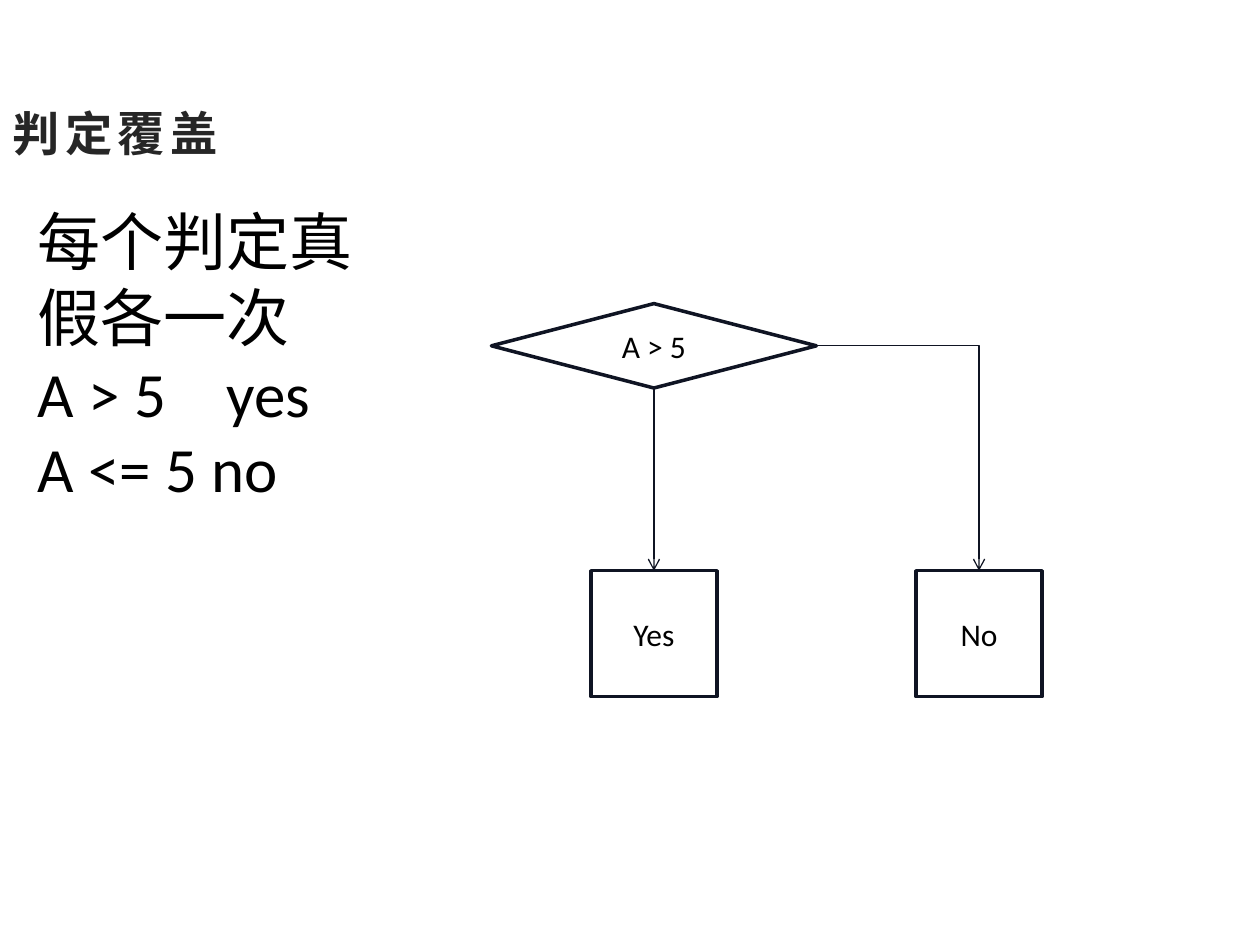
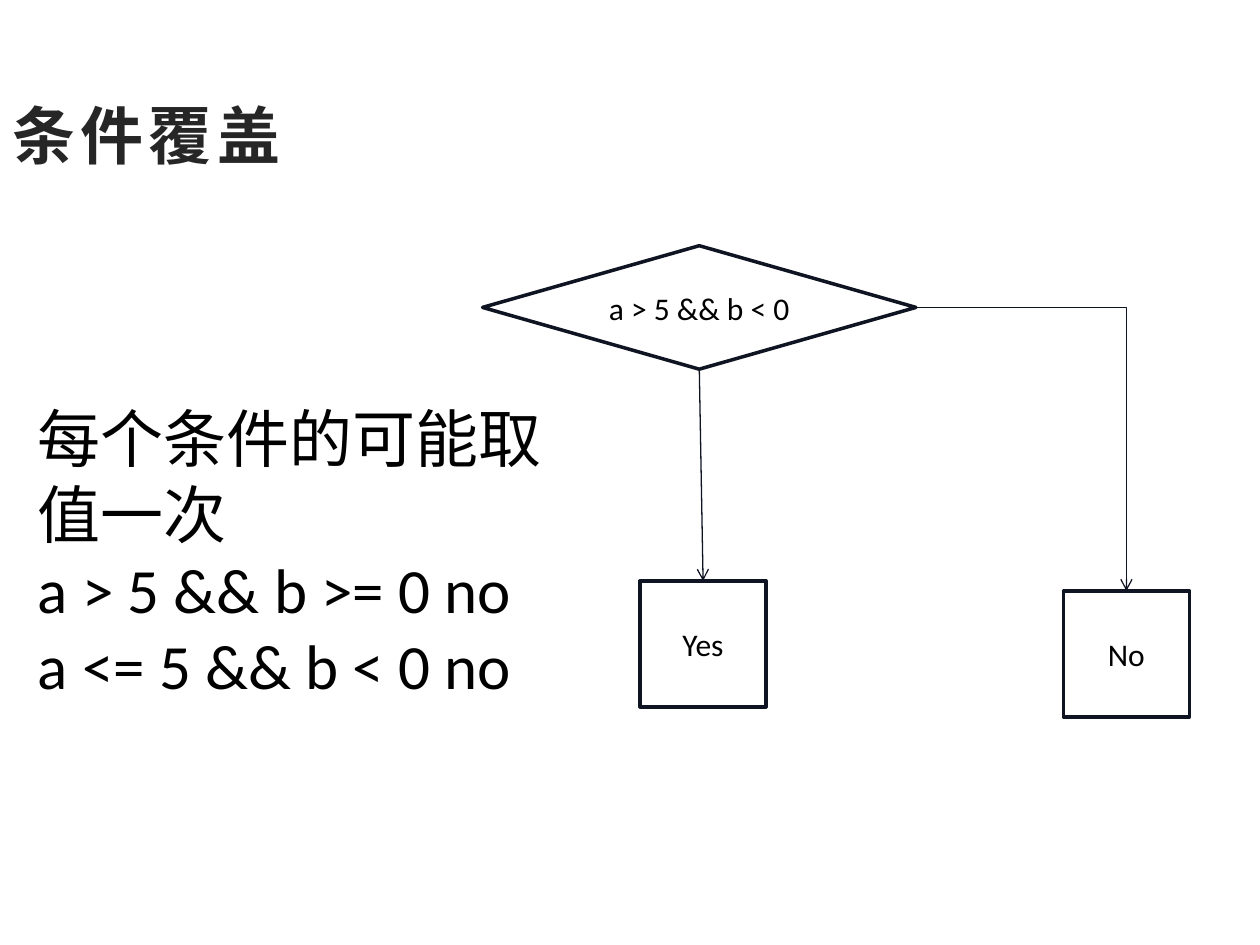
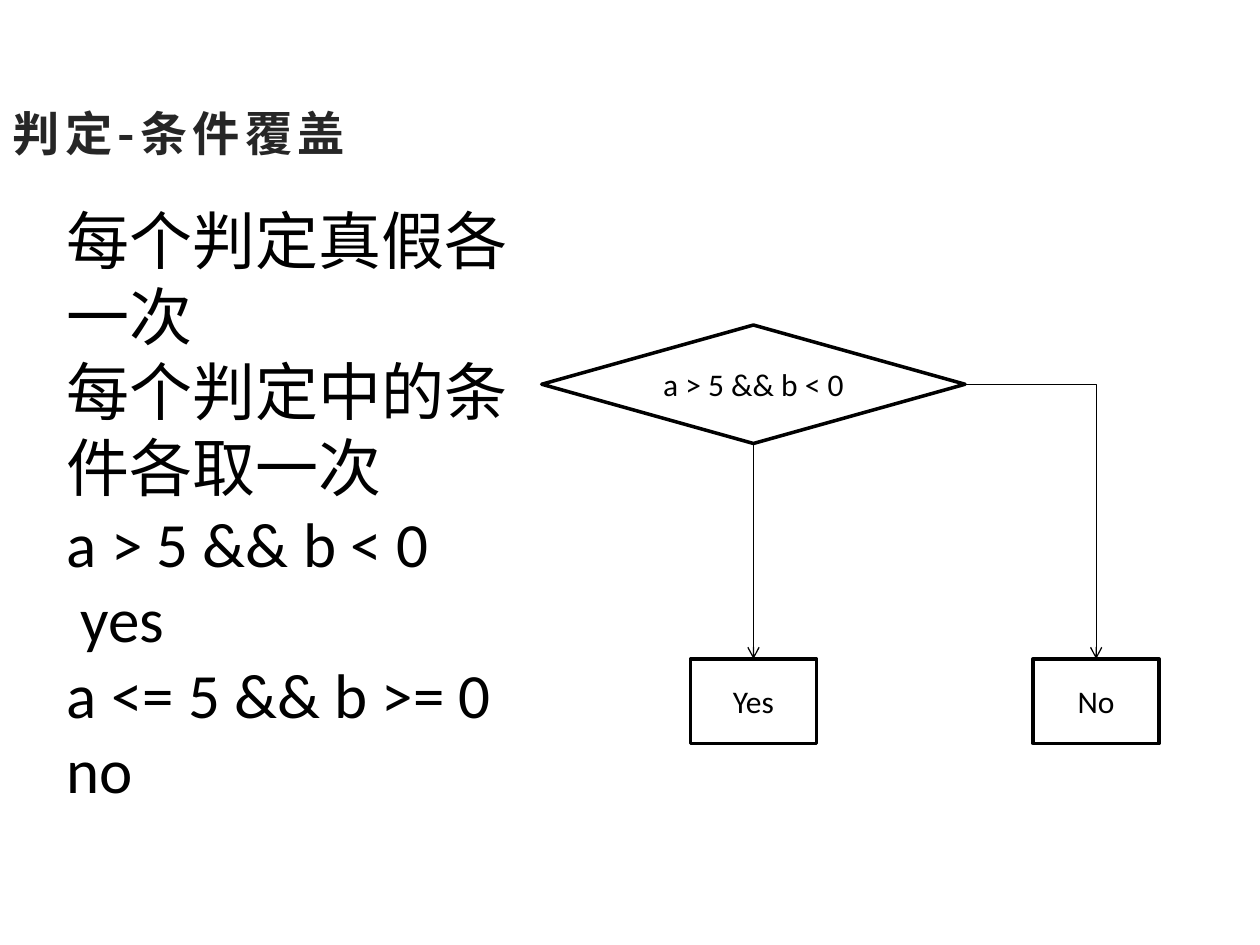
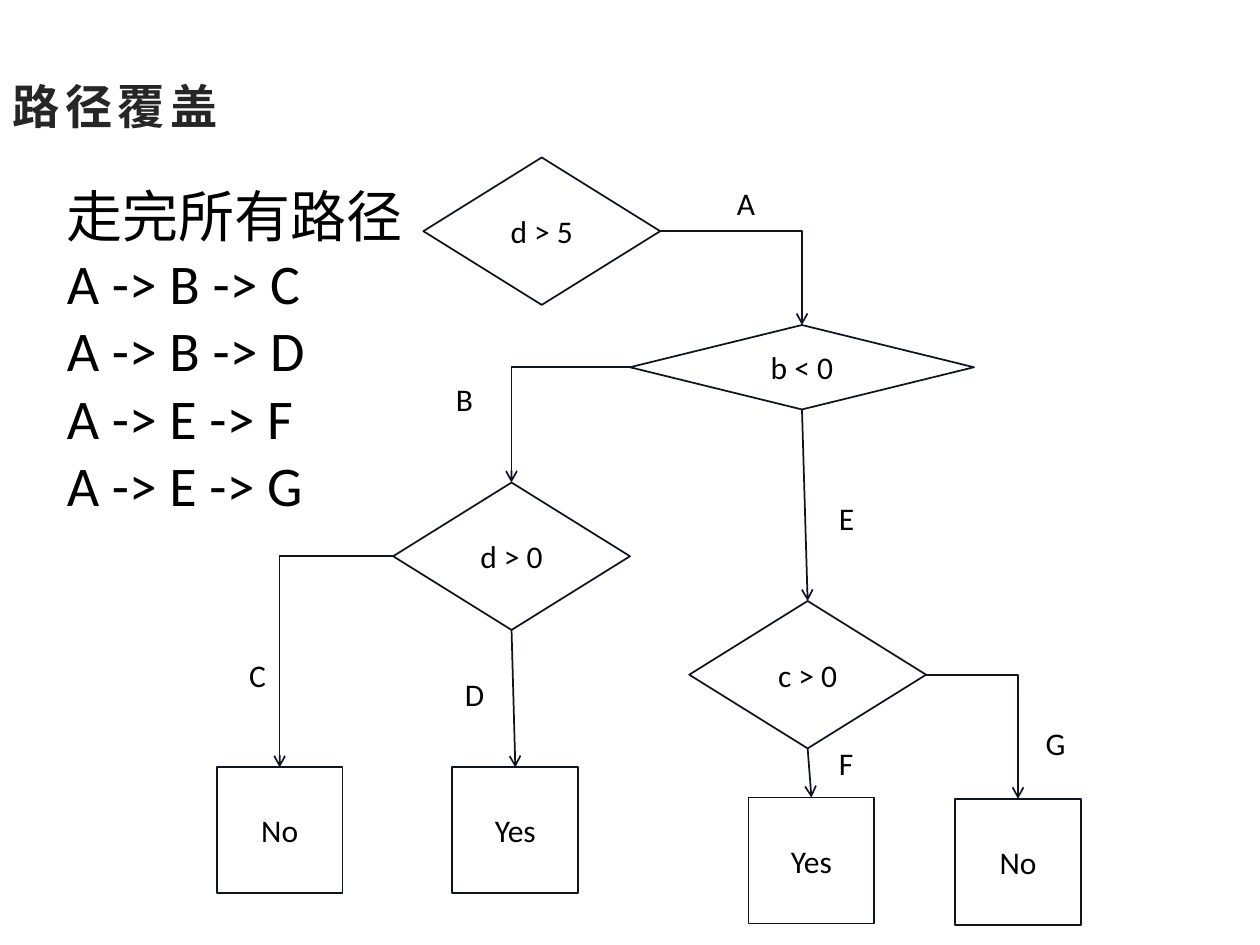
from lxml.etree import SubElement as Sub
from pptx import Presentation
from pptx.dml.color import RGBColor
from pptx.enum.shapes import MSO_CONNECTOR as Link, MSO_SHAPE as Kind
from pptx.enum.text import MSO_AUTO_SIZE as Auto, PP_ALIGN as Align
from pptx.oxml.ns import qn
from pptx.util import Inches, Pt

INK, BLACK, GREY = "0F1423", "000000", "262626"
HEAD, BODY = "Noto Sans CJK SC", "Calibri"
TOP, LEFT, BOTTOM, RIGHT = range(4)
TEST, BOX, STEP = Kind.FLOWCHART_DECISION, Kind.RECTANGLE, Kind.FLOWCHART_PROCESS

# title: text, top, height, size
# list: left, top, width, height, size, lines
# a line is text, or a tuple of text, left indent and tab stop
# nodes: name -> text, kind, left, top, width, height
# links: from, side, to (always at its top)
# tags: text, left, top, width
SLIDES = [
    {
        "title": ("判定覆盖", 0.67, 0.77, 27),
        "list": (0.2, 1.56, 3.09, 3.1, 36,
                 ["每个判定真假各一次", ("A > 5\tyes", 0, 1.35), "A <= 5 no"]),
        "ink": INK, "edge": 2, "wire": 0.75,
        "nodes": {
            "test": ("A > 5", TEST, 3.9, 2.41, 2.58, 0.67),
            "no": ("No", BOX, 7.27, 4.53, 1, 1),
            "yes": ("Yes", BOX, 4.69, 4.53, 1, 1),
        },
        "links": [("test", RIGHT, "no"), ("test", BOTTOM, "yes")],
    },
    {
        "title": ("条件覆盖", 0.68, 0.77, 36),
        "list": (0.2, 3.12, 4.25, 3.7, 36,
                 ["每个条件的可能取值一次", "a > 5 && b >= 0 no", "a <= 5 && b < 0 no"]),
        "ink": INK, "edge": 2, "wire": 0.75,
        "nodes": {
            "test": ("a > 5 && b < 0", TEST, 3.83, 1.95, 3.44, 0.98),
            "no": ("No", BOX, 8.44, 4.69, 1, 1),
            "yes": ("Yes", BOX, 5.08, 4.61, 1, 1),
        },
        "links": [("test", RIGHT, "no"), ("test", BOTTOM, "yes")],
    },
    {
        "title": ("判定-条件覆盖", 0.67, 0.77, 27),
        "list": (0.43, 1.55, 4.17, 4.91, 36,
                 ["每个判定真假各一次", "每个判定中的条件各取一次",
                  "a > 5 && b < 0", ("yes", 0.11, 1), "a <= 5 && b >= 0 no"]),
        "ink": BLACK, "edge": 2, "wire": 0.75,
        "nodes": {
            "test": ("a > 5 && b < 0", TEST, 4.3, 2.58, 3.36, 0.94),
            "yes": ("Yes", STEP, 5.48, 5.23, 1, 0.67),
            "no": ("No", STEP, 8.2, 5.23, 1, 0.67),
        },
        "links": [("test", BOTTOM, "yes"), ("test", RIGHT, "no")],
    },
    {
        "title": ("路径覆盖", 0.21, 1.25, 27),
        "list": (0.43, 1.39, 2.87, 2.77, 32,
                 ["走完所有路径", "A -> B -> C", "A -> B -> D",
                  "A -> E -> F", "A -> E -> G"]),
        "ink": INK, "edge": 1, "wire": 1,
        "nodes": {
            "start": ("d > 5", TEST, 3.36, 1.25, 1.88, 1.17),
            "b": ("b < 0", TEST, 5, 2.58, 2.73, 0.67),
            "c": ("c > 0", TEST, 5.47, 4.77, 1.88, 1.17),
            "d": ("d > 0", TEST, 3.12, 3.83, 1.88, 1.17),
            "c yes": ("Yes", BOX, 5.94, 6.33, 1, 1),
            "c no": ("No", BOX, 7.58, 6.34, 1, 1),
            "d yes": ("Yes", BOX, 3.59, 6.09, 1, 1),
            "d no": ("No", BOX, 1.72, 6.09, 1, 1),
        },
        "links": [
            ("start", RIGHT, "b"), ("b", LEFT, "d"), ("b", BOTTOM, "c"),
            ("c", BOTTOM, "c yes"), ("c", RIGHT, "c no"),
            ("d", BOTTOM, "d yes"), ("d", LEFT, "d no"),
        ],
        "tags": [
            ("A", 5.75, 1.41, 0.34), ("B", 3.52, 2.97, 0.34),
            ("C", 1.88, 5.16, 0.33), ("D", 3.59, 5.31, 0.35),
            ("E", 6.56, 3.91, 0.32), ("F", 6.56, 5.86, 0.31),
            ("G", 8.2, 5.7, 0.36),
        ],
    },
]


def rgb(code):
    return RGBColor.from_string(code)


def place(shape, *box):
    shape.left, shape.top, shape.width, shape.height = map(Inches, box)


def style(para, size, font=BODY, color=BLACK, bold=False):
    face = para.font
    face.size, face.name, face.bold = Pt(size), font, bold
    face.color.rgb = rgb(color)


def add_title(slide, text, top, height, size):
    title = slide.shapes.title
    place(title, 0, top, 9, height)
    frame = title.text_frame
    frame.text, frame.auto_size = text, Auto.NONE
    para = frame.paragraphs[0]
    para.alignment = Align.LEFT
    style(para, size, HEAD, GREY, True)
    props = para._p.pPr.find(qn("a:defRPr"))
    props.set("spc", "300")
    Sub(props, qn("a:ea")).set("typeface", HEAD)


def add_list(slide, left, top, width, height, size, lines):
    body = slide.placeholders[1]
    place(body, left, top, width, height)
    frame = body.text_frame
    frame.auto_size = Auto.NONE
    rows = [row if isinstance(row, tuple) else (row, 0, None) for row in lines]
    frame.text = "\n".join(row[0] for row in rows)
    for para, (_, indent, stop) in zip(frame.paragraphs, rows):
        para.space_before = Pt(0)
        props = para._p.get_or_add_pPr()
        props.set("marL", str(Inches(indent)))
        props.set("indent", "0")
        Sub(props, qn("a:buNone"))
        if stop:
            tabs = Sub(props, qn("a:tabLst"))
            Sub(tabs, qn("a:tab"), pos=str(Inches(stop)), algn="l")
        style(para, size)


def add_node(slide, ink, edge, text, kind, *box):
    node = slide.shapes.add_shape(kind, *map(Inches, box))
    node.shadow.inherit = False
    node.fill.background()
    node.line.color.rgb, node.line.width = rgb(ink), Pt(edge)
    node.text_frame.text = text
    para = node.text_frame.paragraphs[0]
    para.alignment = Align.CENTER
    style(para, 18)
    return node


def add_link(slide, ink, wire, start, side, end):
    """Arrow into the top of end: straight from a bottom, else with one bend."""
    bent = side != BOTTOM
    link = slide.shapes.add_connector(Link.ELBOW if bent else Link.STRAIGHT, 0, 0, 0, 0)
    link.begin_connect(start, side)
    link.end_connect(end, TOP)
    link.line.color.rgb, link.line.width = rgb(ink), Pt(wire)
    props = link._element.spPr
    if bent:
        props.find(qn("a:prstGeom")).set("prst", "bentConnector2")
    Sub(props.find(qn("a:ln")), qn("a:tailEnd")).set("type", "arrow")
    Sub(props, qn("a:effectLst"))


def add_tag(slide, text, left, top, width):
    tag = slide.shapes.add_textbox(*map(Inches, (left, top, width, 0.4)))
    tag.text_frame.word_wrap = False
    tag.text_frame.text = text
    style(tag.text_frame.paragraphs[0], 18)


def main():
    deck = Presentation()
    deck.slide_width, deck.slide_height = Inches(10), Inches(7.5)
    for data in SLIDES:
        slide = deck.slides.add_slide(deck.slide_layouts[1])
        add_title(slide, *data["title"])
        add_list(slide, *data["list"])
        ink = data["ink"]
        nodes = {name: add_node(slide, ink, data["edge"], *node)
                 for name, node in data["nodes"].items()}
        for start, side, end in data["links"]:
            add_link(slide, ink, data["wire"], nodes[start], side, nodes[end])
        for tag in data.get("tags", []):
            add_tag(slide, *tag)
    deck.save("out.pptx")


if __name__ == "__main__":
    main()
